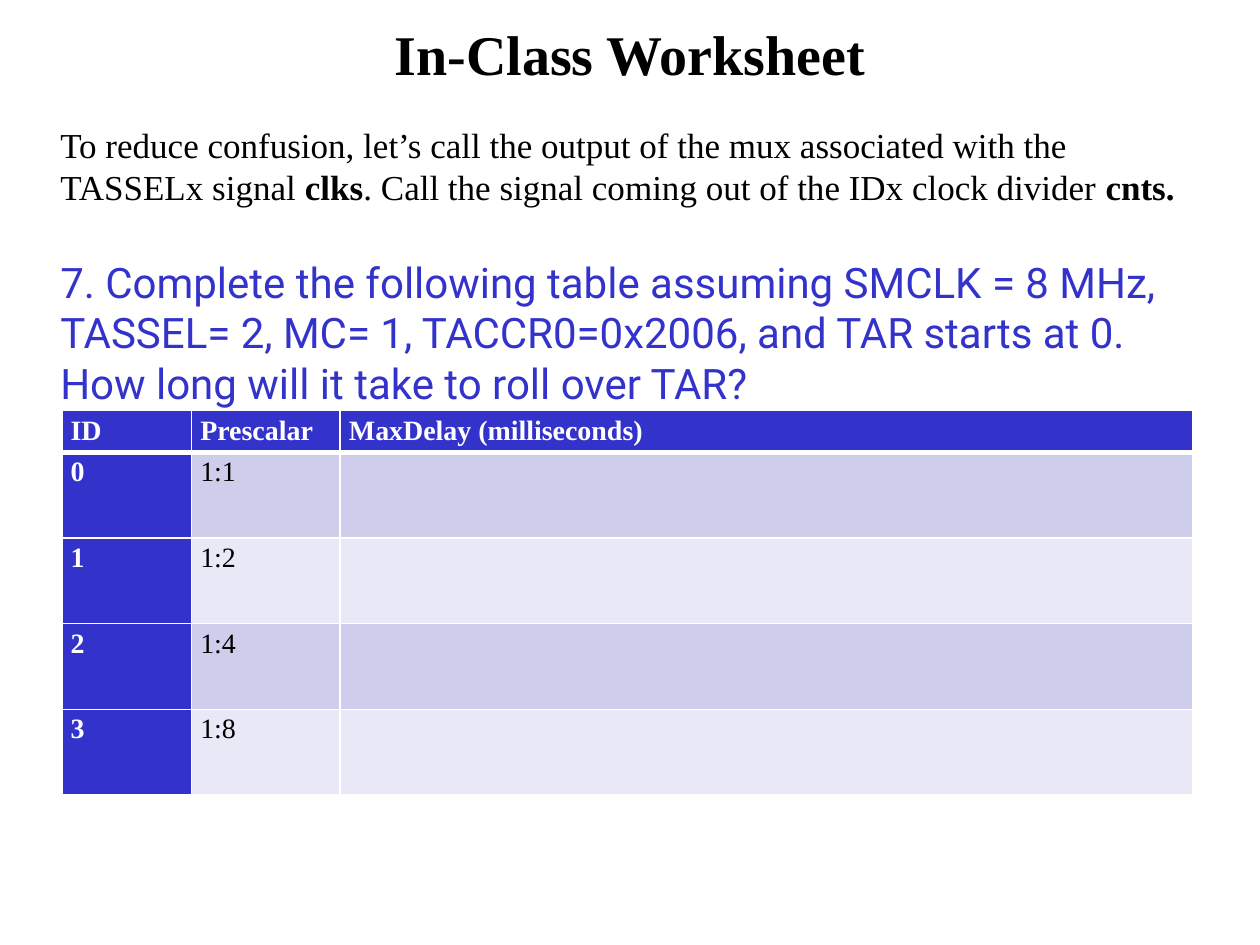
from pptx import Presentation
from pptx.dml.color import RGBColor
from pptx.enum import text as t
from pptx.oxml import parse_xml
from pptx.oxml.ns import nsdecls
from pptx.util import Inches, Pt

SERIF = "Times New Roman"
BLUE, BLACK, WHITE = "3333CC", "000000", "FFFFFF"
BANDS = ("CECEEC", "E8E8F6")


def tint(hue):
    """Turn a hex string into a colour."""
    return RGBColor.from_string(hue)


def style(run, size, hue, bold=False, face=SERIF):
    """Set the font of one run."""
    font = run.font
    font.size, font.name, font.bold = Pt(size), face, bold
    font.color.rgb = tint(hue)


def place(shape, box):
    """Move a shape to a box given in inches."""
    shape.left, shape.top, shape.width, shape.height = map(Inches, box)


def add_title(slide, box):
    """Fill and format the title placeholder."""
    title = slide.shapes.title
    place(title, box)
    frame = title.text_frame
    frame.text = "In-Class Worksheet"
    frame.vertical_anchor = t.MSO_ANCHOR.MIDDLE
    para = frame.paragraphs[0]
    para.alignment = t.PP_ALIGN.CENTER
    style(para.runs[0], 32, BLACK, True)


def add_body(slide, box):
    """Write the naming note and the question."""
    frame = slide.shapes.add_textbox(*map(Inches, box)).text_frame
    frame.word_wrap = True
    note = frame.paragraphs[0]
    note.space_before = Pt(4)
    parts = (
        ("To reduce confusion, let’s call the output of the mux associated "
         "with the TASSELx signal ", False),
        ("clks", True),
        (". Call the signal coming out of the IDx clock divider ", False),
        ("cnts.", True),
    )
    for words, bold in parts:
        run = note.add_run()
        run.text = words
        style(run, 20, BLACK, bold)
    task = frame.add_paragraph()
    task.text = ("7. Complete the following table assuming SMCLK = 8 MHz, "
                 "TASSEL= 2, MC= 1, TACCR0=0x2006, and TAR starts at 0. "
                 "How long will it take to roll over TAR?")
    task.space_before, task.space_after = Pt(28), Pt(10)
    style(task.runs[0], 24, BLUE, face="Roboto")


def edge(cell, side, width):
    """Draw one white border of a cell."""
    cell._tc.get_or_add_tcPr().append(parse_xml(
        f'<a:ln{side} {nsdecls("a")} w="{Pt(width)}"><a:solidFill>'
        f'<a:srgbClr val="{WHITE}"/></a:solidFill></a:ln{side}>'))


def fill_cell(cell, words, row, col):
    """Write and format one cell by its place in the grid."""
    head = row == 0 or col == 0
    for side in "LRTB":
        thick = (row, side) in ((0, "B"), (1, "T"))
        edge(cell, side, 3 if thick else 1)
    cell.fill.solid()
    cell.fill.fore_color.rgb = tint(BLUE if head else BANDS[(row - 1) % 2])
    cell.margin_left = cell.margin_right = Inches(0.07)
    cell.margin_top = cell.margin_bottom = 0
    if words:
        cell.text = words
        para = cell.text_frame.paragraphs[0]
        para.line_spacing = 1.15
        style(para.runs[0], 16, WHITE if head else BLACK, head)


def add_grid(slide, box):
    """Build the delay table."""
    rows = [("ID", "Prescalar", "MaxDelay (milliseconds)")]
    rows += [(str(n), f"1:{2 ** n}", "") for n in range(4)]
    grid = slide.shapes.add_table(len(rows), 3, *map(Inches, box)).table
    for col, width in zip(grid.columns, (1.03, 1.18, 6.77)):
        col.width = Inches(width)
    for r, line in enumerate(rows):
        grid.rows[r].height = Inches(0.68 if r else 0.33)
        for c, words in enumerate(line):
            fill_cell(grid.cell(r, c), words, r, c)


def main():
    """Build and save the worksheet slide."""
    deck = Presentation()
    deck.slide_width, deck.slide_height = Inches(10), Inches(7.5)
    slide = deck.slides.add_slide(deck.slide_layouts[5])
    add_title(slide, (0.75, 0.17, 8.5, 0.5))
    add_body(slide, (0.38, 0.93, 9.31, 6.29))
    add_grid(slide, (0.49, 3.26, 8.98, 3.05))
    deck.save("out.pptx")


if __name__ == "__main__":
    main()
